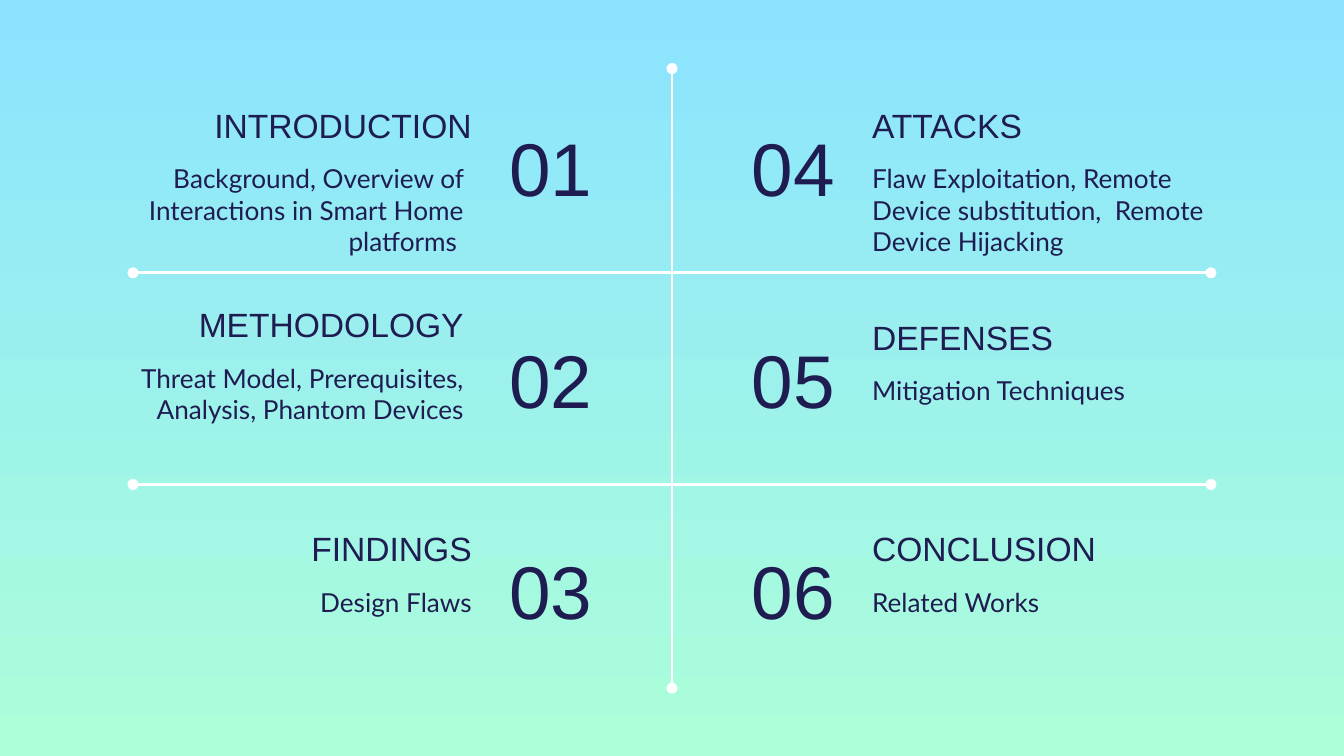
from dataclasses import dataclass

import pptx
import pptx.dml.color
import pptx.enum.shapes
import pptx.enum.text
import pptx.oxml
import pptx.oxml.ns
import pptx.util

WIDTH = 10
HEIGHT = WIDTH * 9 / 16
MIDDLE = WIDTH / 2
ROW_PITCH = 0.28 * HEIGHT
NUMBER_TOP, HEADING_TOP, BODY_TOP = 0.81, 0.67, 1.11
NUMBER_WIDTH, TEXT_WIDTH = 1.31, 2.98
TEXT_GAP = 1.39  # from the middle line to the text
RULE_TOP, RULE_MARGIN = 2.03, 0.99
NAVY, WHITE, SKY, MINT = "1F1C51", "FFFFFF", "8BE3FF", "ACFFD9"
ALIGN = pptx.enum.text.PP_ALIGN
ANCHOR = pptx.enum.text.MSO_ANCHOR


@dataclass(frozen=True)
class Topic:
    number: str
    heading: str
    body: str
    column: int
    row: int
    body_width: float = TEXT_WIDTH
    heading_inset: float = 0
    body_inset: float = 0
    rise: float = 0


@dataclass(frozen=True)
class Style:
    size: float
    font: str
    anchor: ANCHOR


NUMBER = Style(40, "Arial", ANCHOR.MIDDLE)
HEADING = Style(18, "Arial", ANCHOR.BOTTOM)
BODY = Style(14, "Lato", ANCHOR.TOP)

TOPICS = [
    Topic("01", "INTRODUCTION",
          " Background, Overview of Interactions in Smart Home platforms ",
          0, 0, body_width=2.92, body_inset=0.06),
    Topic("02", "METHODOLOGY",
          "Threat Model, Prerequisites, Analysis, Phantom Devices",
          0, 1, body_width=3.2, heading_inset=0.06, body_inset=0.06, rise=0.09),
    Topic("03", "FINDINGS", "Design Flaws", 0, 2),
    Topic("04", "ATTACKS",
          "Flaw Exploitation, Remote Device substitution,  Remote Device Hijacking",
          1, 0, body_width=2.91),
    Topic("05", "DEFENSES", "Mitigation Techniques", 1, 1),
    Topic("06", "CONCLUSION", "Related Works", 1, 2),
]


def color(value: str) -> pptx.dml.color.RGBColor:
    return pptx.dml.color.RGBColor.from_string(value)


def write(box, text: str, style: Style, align: ALIGN, left: float, top: float,
          width: float, height: float) -> None:
    """Place a box, given in inches, and fill it with one styled run."""
    inches = pptx.util.Inches
    box.left, box.top = inches(left), inches(top)
    box.width, box.height = inches(width), inches(height)
    frame = box.text_frame
    frame.word_wrap = True
    frame.auto_size = pptx.enum.text.MSO_AUTO_SIZE.NONE
    frame.vertical_anchor = style.anchor
    frame.margin_left = frame.margin_right = inches(0.1)
    frame.margin_top = frame.margin_bottom = inches(0.1)
    para = frame.paragraphs[0]
    para.alignment = align
    span = para.add_run()
    span.text = text
    span.font.size = pptx.util.Pt(style.size)
    span.font.name = style.font
    span.font.color.rgb = color(NAVY)


def new_box(page):
    return page.shapes.add_textbox(0, 0, 0, 0)


def draw_topic(page, topic: Topic, number_box) -> None:
    on_left = topic.column == 0
    down = topic.row * ROW_PITCH
    outer, inner = (ALIGN.RIGHT, ALIGN.LEFT) if on_left else (ALIGN.LEFT, ALIGN.RIGHT)

    def text_left(width: float, inset: float) -> float:
        if on_left:
            return MIDDLE - TEXT_GAP - inset - width
        return MIDDLE + TEXT_GAP + inset

    number_left = MIDDLE - NUMBER_WIDTH if on_left else MIDDLE
    write(number_box, topic.number, NUMBER, inner,
          number_left, NUMBER_TOP + down, NUMBER_WIDTH, 0.86)
    write(new_box(page), topic.heading, HEADING, outer,
          text_left(TEXT_WIDTH, topic.heading_inset),
          HEADING_TOP + down - topic.rise, TEXT_WIDTH, 0.51)
    write(new_box(page), topic.body, BODY, outer,
          text_left(topic.body_width, topic.body_inset),
          BODY_TOP + down - topic.rise, topic.body_width, 0.78)


def draw_rule(page, x1: float, y1: float, x2: float, y2: float) -> None:
    """Draw a white line with a dot at each end."""
    rule = page.shapes.add_connector(
        pptx.enum.shapes.MSO_CONNECTOR.STRAIGHT,
        *(pptx.util.Inches(value) for value in (x1, y1, x2, y2)))
    rule.line.color.rgb = color(WHITE)
    rule.line.width = pptx.util.Pt(1.5)
    outline = rule.line._get_or_add_ln()
    for tag in ("a:headEnd", "a:tailEnd"):
        end = pptx.oxml.parse_xml(f'<{tag} {pptx.oxml.ns.nsdecls("a")} type="oval"/>')
        outline.append(end)
    rule._element.spPr.append(
        pptx.oxml.parse_xml(f'<a:effectLst {pptx.oxml.ns.nsdecls("a")}/>'))


def paint_background(page) -> None:
    fill = page.background.fill
    fill.gradient()
    fill.gradient_angle = 270
    for stop, position, value in zip(fill.gradient_stops, (0, 1), (SKY, MINT)):
        stop.position = position
        stop.color.rgb = color(value)


def main() -> None:
    deck = pptx.Presentation()
    deck.slide_width = pptx.util.Inches(WIDTH)
    deck.slide_height = pptx.util.Inches(HEIGHT)
    page = deck.slides.add_slide(deck.slide_layouts.get_by_name("Title Only"))
    paint_background(page)
    draw_rule(page, MIDDLE, 0.51, MIDDLE, 5.12)
    for row in range(2):
        top = RULE_TOP + row * ROW_PITCH
        draw_rule(page, RULE_MARGIN, top, WIDTH - RULE_MARGIN, top)
    for index, topic in enumerate(TOPICS):
        number_box = page.shapes.title if index == 0 else new_box(page)
        draw_topic(page, topic, number_box)
    deck.save("out.pptx")


if __name__ == "__main__":
    main()
